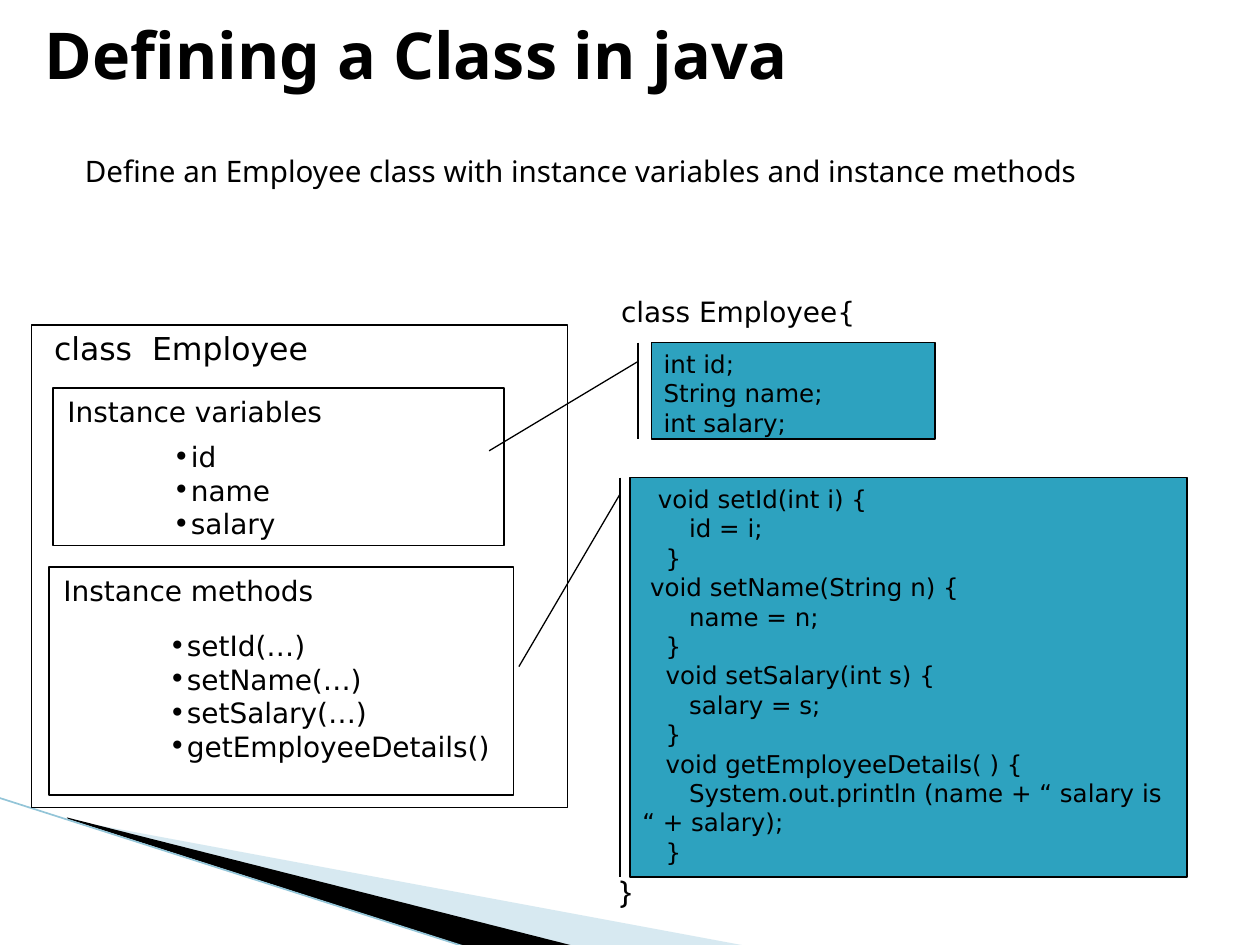
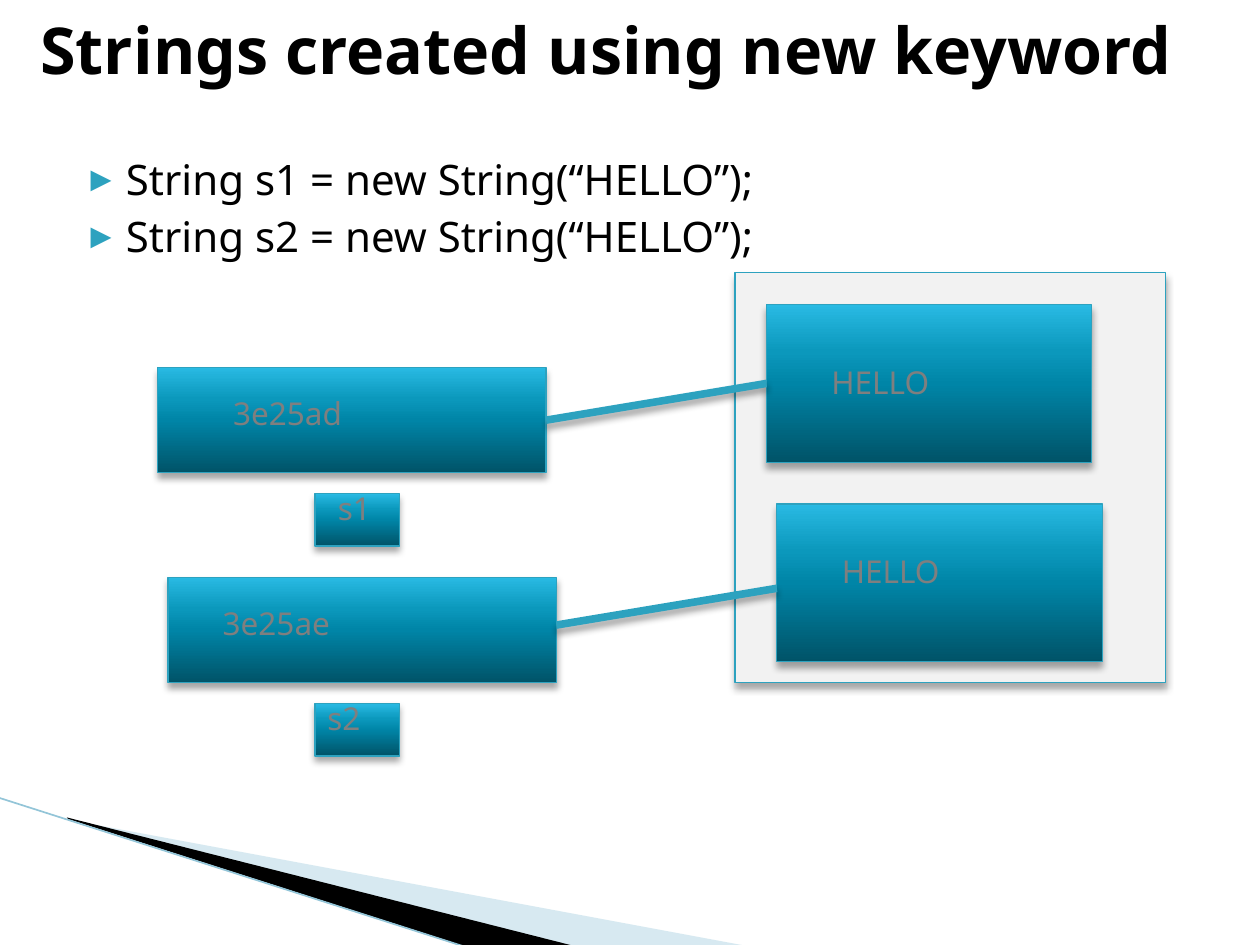
from lxml.etree import SubElement
from pptx import Presentation
from pptx.dml.color import RGBColor
from pptx.enum.shapes import MSO_CONNECTOR, MSO_SHAPE
from pptx.enum.text import MSO_ANCHOR, PP_ALIGN
from pptx.oxml.ns import qn
from pptx.util import Cm, Pt

BLACK = RGBColor(0x00, 0x00, 0x00)
GREY = RGBColor(0x7F, 0x7F, 0x7F)
PANEL = RGBColor(0xF2, 0xF2, 0xF2)
TEAL = RGBColor(0x2D, 0xA2, 0xBF)
BAND_LIGHT = RGBColor(0x9C, 0xCA, 0xDC)
BAND_LINE = RGBColor(0x93, 0xC5, 0xD8)
GRADIENT = [
    (0, RGBColor(0x00, 0x53, 0x68)),
    (50, RGBColor(0x00, 0x85, 0xA7)),
    (70, RGBColor(0x0B, 0x98, 0xBC)),
    (100, RGBColor(0x29, 0xBA, 0xE3)),
]
SANS, CODE = "Noto Sans", "DejaVu Sans"
CODE_SPACE = 0.157  # width in cm of one space in 14 pt code

METHODS = ["setId(…)", "setName(…)", "setSalary(…)", "getEmployeeDetails()"]
FIELD_CODE = [(0, "int id;"), (0, "String name;"), (0, "int salary;")]
METHOD_CODE = [
    (2, "void setId(int i) {"), (6, "id = i;"), (3, "}"),
    (1, "void setName(String n) {"), (6, "name = n;"), (3, "}"),
    (3, "void setSalary(int s) {"), (6, "salary = s;"), (3, "}"),
    (3, "void getEmployeeDetails( ) {"),
    (6, "System.out.println (name + “ salary is “ + salary);"), (3, "}"),
]


def cm(*values):
    return [Cm(v) for v in values]


def add_paragraph(tf, text, size=18, font=SANS, color=BLACK, bold=False,
                  margin=0, indent=0, bullet=None, bullet_color=BLACK,
                  bullet_size=100, before=0, spacing=None):
    """Fill the first empty paragraph of a frame, or add one after the rest."""
    p = tf.paragraphs[0] if not tf.text else tf.add_paragraph()
    p.alignment = PP_ALIGN.LEFT
    p.space_before = Pt(before)
    if spacing:
        p.line_spacing = spacing
    pPr = p._p.get_or_add_pPr()
    pPr.set("marL", str(Cm(margin)))
    pPr.set("indent", str(Cm(indent)))
    if bullet:
        clr = SubElement(pPr, qn("a:buClr"))
        SubElement(clr, qn("a:srgbClr"), val=str(bullet_color))
        SubElement(pPr, qn("a:buSzPct"), val=str(bullet_size * 1000))
        SubElement(pPr, qn("a:buFont"), typeface=CODE)
        SubElement(pPr, qn("a:buChar"), char=bullet)
    r = p.add_run()
    r.text = text
    r.font.size, r.font.name, r.font.bold = Pt(size), font, bold
    r.font.color.rgb = color


def add_text(s, x, y, w, h, lines, **fmt):
    tf = s.shapes.add_textbox(*cm(x, y, w, h)).text_frame
    tf.word_wrap = True
    for line in lines:
        add_paragraph(tf, line, **fmt)


def set_effects(shape, shadow):
    """Replace the theme's effects by a soft drop shadow or by none."""
    effects = SubElement(shape.element.spPr, qn("a:effectLst"))
    if shadow:
        outer = SubElement(effects, qn("a:outerShdw"), blurRad=str(Pt(4)),
                           dist=str(Pt(3)), dir="5400000", rotWithShape="0")
        clr = SubElement(outer, qn("a:srgbClr"), val=str(BLACK))
        SubElement(clr, qn("a:alpha"), val="35000")


def style(shape, fill=None, line=None, width=0.75, shadow=False):
    if fill is None:
        shape.fill.background()
    elif fill is GRADIENT:
        shape.fill.gradient()
        shape.fill.gradient_angle = 90
        stops = shape.element.spPr.find(".//" + qn("a:gsLst"))
        for stop in list(stops):
            stops.remove(stop)
        for pos, color in GRADIENT:
            gs = SubElement(stops, qn("a:gs"), pos=str(pos * 1000))
            SubElement(gs, qn("a:srgbClr"), val=str(color))
    else:
        shape.fill.solid()
        shape.fill.fore_color.rgb = fill
    if line is None:
        shape.line.fill.background()
    else:
        shape.line.color.rgb = line
        shape.line.width = Pt(width)
    set_effects(shape, shadow)


def add_box(s, x, y, w, h, kind=MSO_SHAPE.RECTANGLE, **look):
    shape = s.shapes.add_shape(kind, *cm(x, y, w, h))
    style(shape, **look)
    return shape


def add_line(s, x1, y1, x2, y2, color, width, shadow=False):
    line = s.shapes.add_connector(MSO_CONNECTOR.STRAIGHT, *cm(x1, y1, x2, y2))
    line.line.color.rgb = color
    line.line.width = Pt(width)
    set_effects(line, shadow)
    return line


def add_band(s, points, fill):
    start, *rest = [tuple(cm(*point)) for point in points]
    builder = s.shapes.build_freeform(*start)
    builder.add_line_segments(rest)
    band = builder.convert_to_shape()
    style(band, fill=fill)
    return band


def move_bands_to_layout(s):
    """Draw the corner bands and hand them to the layout all slides share."""
    light = add_band(s, [(1.4, 16.53), (15.11, 19.08), (11.58, 19.08),
                         (1.4, 16.51)], BAND_LIGHT)
    color = light.element.spPr.find(qn("a:solidFill"))[0]
    SubElement(color, qn("a:alpha"), val="40000")
    dark = add_band(s, [(1.35, 16.48), (11.61, 19.08), (9.45, 19.1),
                        (1.37, 16.51)], BLACK)
    edge = add_line(s, -0.03, 16.08, 9.42, 19.1, BAND_LINE, 0.95)
    for shape in (light, dark, edge):
        s.slide_layout.shapes.element.append(shape.element)


def add_slide(prs, title, x, y, w):
    s = prs.slides.add_slide(prs.slide_layouts[5])
    sp = s.shapes.title
    sp.left, sp.top, sp.width, sp.height = cm(x, y, w, 1.55)
    tf = sp.text_frame
    tf.word_wrap = True
    tf.vertical_anchor = MSO_ANCHOR.MIDDLE
    add_paragraph(tf, title, size=36.9, bold=True)
    return s


def add_members(s, x, y, w, h, label, names, drop):
    """A framed member list whose bullets start `drop` below its top."""
    add_box(s, x, y, w, h, line=BLACK)
    add_text(s, x + 0.04, y, 7.2, 0.94, [label], size=16, font=CODE)
    add_text(s, x + 2.17, y + drop, 7.16, 0.75 * len(names), names, size=16,
             font=CODE, margin=0.36, indent=-0.36, bullet="•")


def add_class_diagram(s, x, y):
    add_box(s, x, y, 10.8, 9.73, line=BLACK)
    add_text(s, x + 0.2, y - 0.05, 8.5, 1.02, ["class  Employee"], font=CODE)
    add_members(s, x + 0.43, y + 1.27, 9.09, 3.18, "Instance variables",
                ["id", "name", "salary"], 0.92)
    add_members(s, x + 0.35, y + 4.88, 9.37, 4.6, "Instance methods",
                METHODS, 1.12)


def add_code_callout(s, x, y, w, h, code, start, end):
    """Code with an accent bar; start and end of its leader are (x, y) in cm."""
    box = add_box(s, x, y, w, h, MSO_SHAPE.LINE_CALLOUT_1_BORDER_AND_ACCENT_BAR,
                  fill=TEAL, line=BLACK)
    ratios = [start[1] / h, start[0] / w, end[1] / h, end[0] / w]
    for i, ratio in enumerate(ratios):
        box.adjustments[i] = ratio
    tf = box.text_frame
    tf.word_wrap = True
    tf.vertical_anchor = MSO_ANCHOR.TOP
    for spaces, text in code:
        add_paragraph(tf, text, size=14, font=CODE, indent=spaces * CODE_SPACE)


def add_class_code(s, x, y):
    add_text(s, x + 0.03, y, 12.5, 0.94, ["class Employee{"], size=16, font=CODE)
    add_code_callout(s, x + 0.89, y + 1.09, 5.72, 1.94, FIELD_CODE,
                     (-0.27, 0.38), (-3.27, 2.18))
    add_code_callout(s, x + 0.46, y + 3.81, 11.23, 8.05, METHOD_CODE,
                     (-0.2, 0.33), (-2.24, 3.81))
    add_text(s, x, y + 11.63, 0.72, 1.02, ["}"])


def add_cell(s, x, y, w, h, text, dx, dy):
    """A gradient box and its text, which starts dx, dy from the corner."""
    add_box(s, x, y, w, h, fill=GRADIENT, line=TEAL, shadow=True)
    add_text(s, x + dx, y + dy, max(w - 2.2, 1.6), 1.28, [text], color=GREY)


def add_reference(s, x, y, address, address_dx, name, name_x, name_dx,
                  object_x, object_y, text_dy, link_dy):
    """A variable cell, its name below, and a line to its string object."""
    add_cell(s, x, y, 7.83, 2.12, address, address_dx, 0.41)
    add_cell(s, name_x, y + 2.54, 1.7, 1.06, name, name_dx, -0.22)
    add_cell(s, object_x, object_y, 6.56, 3.18, "HELLO", 1.06, text_dy)
    add_line(s, x + 7.83, y + link_dy, object_x, y + link_dy - 0.74, TEAL, 4.33,
             shadow=True)


def build_class_slide(prs):
    s = add_slide(prs, "Defining a Class in java", 0.64, 0.3, 23.5)
    move_bands_to_layout(s)
    add_text(s, 0.84, 2.74, 24.13, 1.98,
             ["Define an Employee class with instance variables and "
              "instance methods"], size=16.9, indent=0.62, spacing=1.3)
    add_class_diagram(s, 0.64, 6.55)
    add_class_code(s, 12.24, 5.82)


def build_strings_slide(prs):
    s = add_slide(prs, "Strings created using new keyword", 0.56, 0.2, 23.57)
    add_text(s, 1.27, 2.97, 22.86, 14.4,
             [f"String {name} = new String(“HELLO”);" for name in ("s1", "s2")],
             size=24, margin=1.02, indent=-0.71, bullet="▶",
             bullet_color=TEAL, bullet_size=65, before=4)
    add_box(s, 14.82, 5.5, 8.68, 8.26, fill=PANEL, line=TEAL, shadow=True)
    add_reference(s, 3.18, 7.41, "3e25ad", 1.27, "s1", 6.35, 0.21,
                  15.45, 6.14, 1.06, 1.06)
    add_reference(s, 3.39, 11.64, "3e25ae", 0.85, "s2", 6.35, 0,
                  15.66, 10.16, 0.85, 0.96)


def main():
    prs = Presentation()
    prs.slide_width, prs.slide_height = cm(25.4, 19.05)
    build_class_slide(prs)
    build_strings_slide(prs)
    prs.save("out.pptx")


if __name__ == "__main__":
    main()
